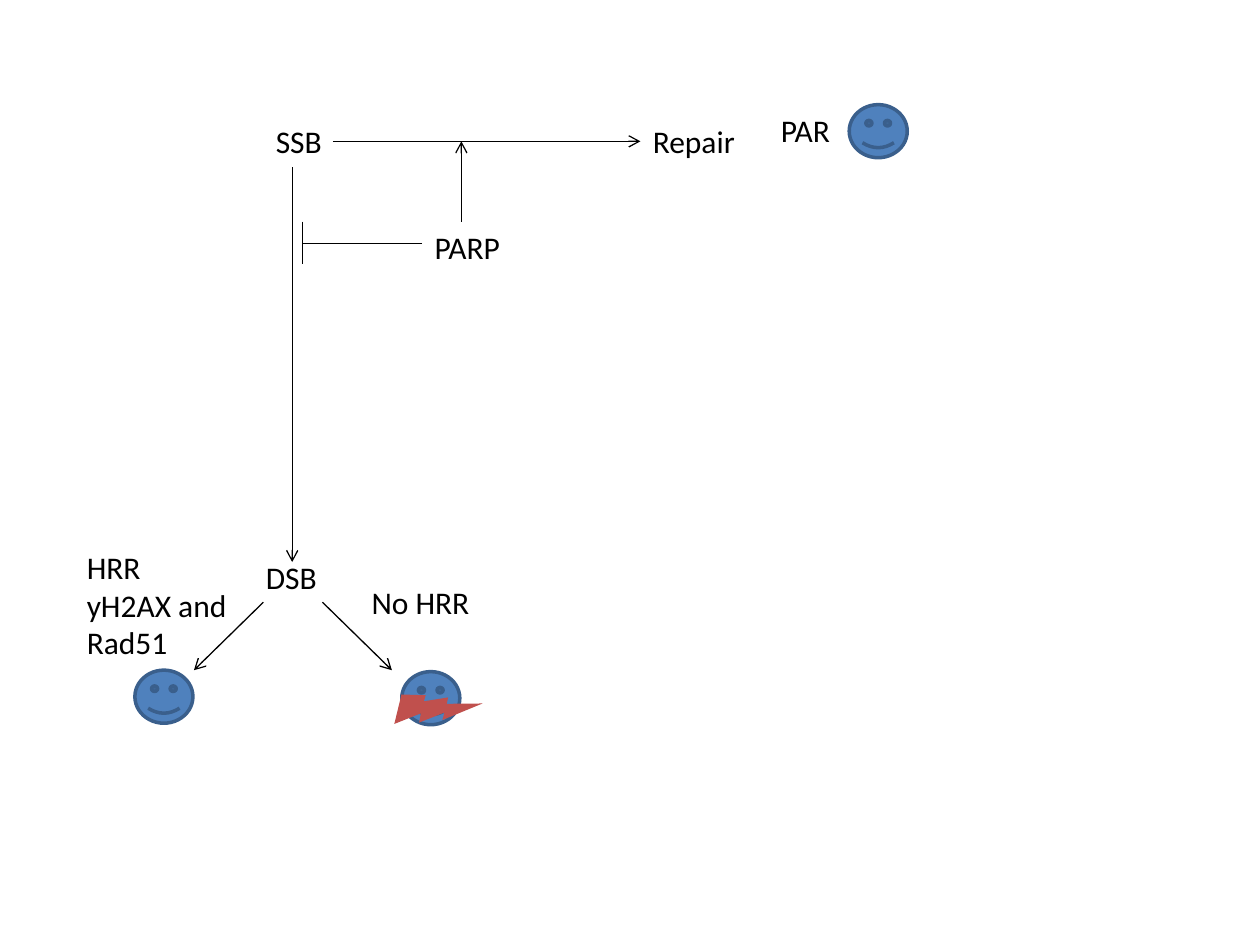
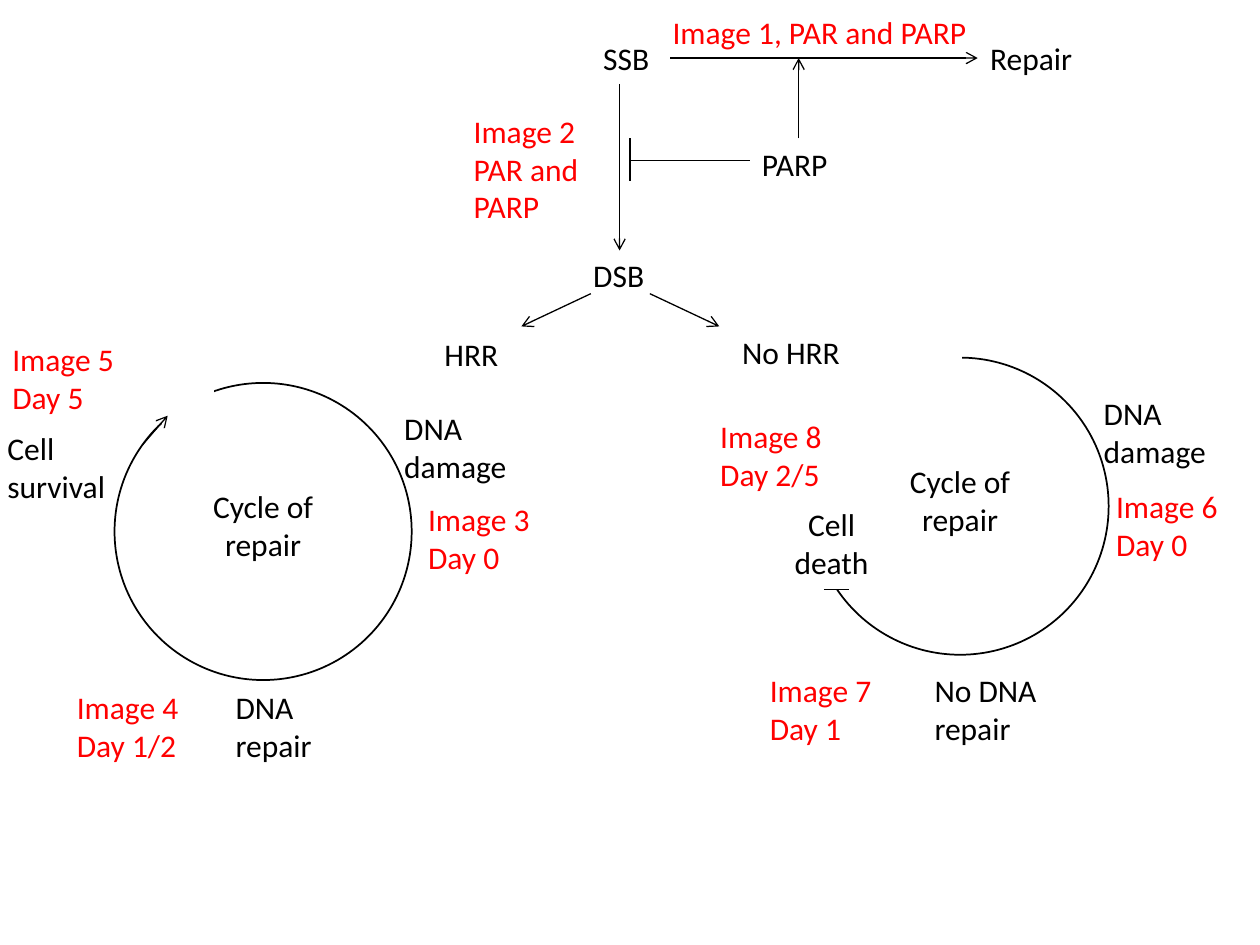
from dataclasses import dataclass

from lxml.etree import SubElement
from pptx import Presentation
from pptx.dml.color import RGBColor
from pptx.enum.shapes import MSO_CONNECTOR, MSO_SHAPE as Preset
from pptx.enum.text import MSO_AUTO_SIZE as AutoSize, PP_ALIGN as Align
from pptx.oxml.ns import qn
from pptx.shapes.autoshape import Shape
from pptx.slide import Slide
from pptx.util import Cm, Pt

BLACK = RGBColor(0x00, 0x00, 0x00)
WHITE = RGBColor(0xFF, 0xFF, 0xFF)
RED = RGBColor(0xFF, 0x00, 0x00)
CELL_BLUE = RGBColor(0x4F, 0x81, 0xBD)
CELL_EDGE = RGBColor(0x3A, 0x5F, 0x8C)
DAMAGE_RED = RGBColor(0xC0, 0x50, 0x4D)

FONT = "Calibri"
LABEL_WIDTH = 2.79
STAGE_WIDTH = 3.23
ONE_LINE, TWO_LINES, THREE_LINES = 1.02, 1.8, 2.57
RING_SIZE = 5.99
REPAIR_LENGTH = 6.2


# All positions and sizes below are in centimetres.
@dataclass(frozen=True)
class Label:
    """A piece of text and its place."""
    text: str
    x: float
    y: float
    width: float = LABEL_WIDTH
    height: float = ONE_LINE
    color: RGBColor = BLACK
    align: Align = Align.LEFT


@dataclass(frozen=True)
class Pathway:
    """Where the SSB to DSB pathway starts, and how far down its parts reach."""
    x: float
    y: float
    repair_x: float
    arrow_end: float
    dsb_y: float
    branch_y: float
    branch_drop: float


@dataclass(frozen=True)
class Cycle:
    """A repair ring and the box (x, y, width, height) that opens it."""
    x: float
    y: float
    gap: tuple[float, float, float, float]


def add_text(slide: Slide, text: str, x: float, y: float, *,
             width: float = LABEL_WIDTH, height: float = ONE_LINE,
             color: RGBColor = BLACK, align: Align = Align.LEFT,
             size: float = 18) -> None:
    """Write text, one paragraph per line."""
    box = slide.shapes.add_textbox(Cm(x), Cm(y), Cm(width), Cm(height))
    frame = box.text_frame
    frame.word_wrap = True
    frame.auto_size = AutoSize.SHAPE_TO_FIT_TEXT
    frame.text = text
    for paragraph in frame.paragraphs:
        paragraph.alignment = align
        font = paragraph.runs[0].font
        font.name, font.size = FONT, Pt(size)
        font.color.rgb = color


def add_labels(slide: Slide, labels: list[Label]) -> None:
    """Write every label of a list."""
    for label in labels:
        add_text(slide, label.text, label.x, label.y, width=label.width,
                 height=label.height, color=label.color, align=label.align)


def add_line(slide: Slide, start: tuple[float, float],
             end: tuple[float, float], arrow: bool = False) -> None:
    """Draw a thin black line, with an open arrowhead at its end if asked."""
    line = slide.shapes.add_connector(
        MSO_CONNECTOR.STRAIGHT, *(Cm(value) for value in (*start, *end)))
    line.line.color.rgb = BLACK
    line.line.width = Pt(0.75)
    if arrow:
        SubElement(line.line._get_or_add_ln(), qn("a:tailEnd"), type="arrow")
    SubElement(line._element.spPr, qn("a:effectLst"))


def add_preset(slide: Slide, preset: Preset, x: float, y: float,
               width: float, height: float, *, fill: RGBColor | None = None,
               edge: RGBColor | None = None, weight: float = 2) -> Shape:
    """Draw a preset shape without shadow."""
    shape = slide.shapes.add_shape(preset, Cm(x), Cm(y), Cm(width), Cm(height))
    shape.shadow.inherit = False
    if fill is None:
        shape.fill.background()
    else:
        shape.fill.solid()
        shape.fill.fore_color.rgb = fill
    if edge is None:
        shape.line.fill.background()
    else:
        shape.line.color.rgb = edge
        shape.line.width = Pt(weight)
    return shape


def add_cell(slide: Slide, x: float, y: float) -> None:
    """Draw a smiling cell."""
    add_preset(slide, Preset.SMILEY_FACE, x, y, 1.17, 1.07,
               fill=CELL_BLUE, edge=CELL_EDGE)


def add_pathway(slide: Slide, path: Pathway) -> None:
    """Draw SSB with its repair branch, the PARP block and the DSB fork."""
    x, y = path.x, path.y
    repair_y, parp_y, block_y = y + 0.51, y + 2.13, y + 2.57
    parp_x, bar_x, break_x = x + 3.2, x + 0.79, x + 0.58
    repair_end = path.repair_x + REPAIR_LENGTH
    boost_x = path.repair_x + 2.59
    add_labels(slide, [
        Label("SSB", x, y),
        Label("Repair", repair_end, y),
        Label("PARP", parp_x, parp_y, height=0.84),
        Label("DSB", x - 0.2, path.dsb_y),
    ])
    add_line(slide, (path.repair_x, repair_y), (repair_end, repair_y), arrow=True)
    add_line(slide, (boost_x, parp_y), (boost_x, repair_y), arrow=True)
    add_line(slide, (break_x, y + 1.03), (break_x, path.arrow_end), arrow=True)
    add_line(slide, (parp_x, block_y), (bar_x, block_y))
    add_line(slide, (bar_x, parp_y), (bar_x, y + 2.99))
    for fork_x, reach in ((x + 1.19, 1.4), (x, -1.4)):
        add_line(slide, (fork_x, path.branch_y),
                 (fork_x + reach, path.branch_y + path.branch_drop), arrow=True)


def add_cycle(slide: Slide, cycle: Cycle) -> None:
    """Draw an open ring with its title in the middle."""
    add_preset(slide, Preset.OVAL, cycle.x, cycle.y, RING_SIZE, RING_SIZE,
               edge=BLACK, weight=1)
    add_preset(slide, Preset.RECTANGLE, *cycle.gap, fill=WHITE, edge=WHITE)
    add_text(slide, "Cycle of repair", cycle.x + 1.6, cycle.y + 1.98,
             height=TWO_LINES, align=Align.CENTER)


def stage(text: str, x: float, y: float, width: float = STAGE_WIDTH,
          height: float = TWO_LINES) -> Label:
    """Make a red label that names an image and its day or stain."""
    return Label(text, x, y, width, height, RED)


def build_overview(slide: Slide) -> None:
    """Show the pathway and the fate of the cells."""
    add_pathway(slide, Pathway(5.31, 2.34, repair_x=6.71, arrow_end=11.33,
                               dsb_y=11.13, branch_y=12.14, branch_drop=1.37))
    for x, y in ((17.12, 2.11), (2.72, 13.51), (8.1, 13.54)):
        add_cell(slide, x, y)
    damage = add_preset(slide, Preset.LIGHTNING_BOLT, 8.03, 13.61, 1.42, 1.4,
                        fill=DAMAGE_RED)
    damage.rotation = 308
    add_labels(slide, [
        Label("PAR", 15.49, 2.11),
        Label("No HRR", 7.24, 11.63),
        Label("HRR\nyH2AX and Rad51", 1.5, 10.92, 4.5, THREE_LINES),
    ])


def build_cycles(slide: Slide) -> None:
    """Show the pathway with the two repair cycles and the images to take."""
    add_pathway(slide, Pathway(11.91, 0.66, repair_x=13.51, arrow_end=5.05,
                               dsb_y=5.03, branch_y=5.92, branch_drop=0.66))
    add_cycle(slide, Cycle(2.31, 7.72, gap=(3.3, 7.85, 0.99, 1.07)))
    add_line(slide, (2.87, 8.97), (3.38, 8.38), arrow=True)
    add_cycle(slide, Cycle(16.36, 7.21, gap=(15.9, 7.09, 3.45, 4.78)))
    add_line(slide, (16.61, 11.89), (17.12, 11.89))
    add_labels(slide, [
        Label("HRR", 8.71, 6.63),
        Label("DNA damage", 7.9, 8.13, height=TWO_LINES),
        Label("DNA repair", 4.5, 13.74, height=TWO_LINES),
        Label("Cell survival", -0.1, 8.53, height=TWO_LINES),
        Label("No HRR", 14.71, 6.58),
        Label("DNA damage", 22, 7.82, height=TWO_LINES),
        Label("No DNA repair", 18.59, 13.41, height=TWO_LINES),
        Label("Cell death", 15.37, 10.06, height=TWO_LINES, align=Align.CENTER),
        stage("Image 1, PAR and PARP", 13.31, 0.13, 6.68, ONE_LINE),
        stage("Image 2\nPAR and PARP", 9.3, 2.13, height=THREE_LINES),
        stage("Image 3\nDay 0", 8.38, 9.96),
        stage("Image 4\nDay 1/2", 1.3, 13.74),
        stage("Image 5\nDay 5", 0, 6.73),
        stage("Image 6\nDay 0", 22.25, 9.7),
        stage("Image 7\nDay 1", 15.27, 13.41),
        stage("Image 8\nDay 2/5", 14.27, 8.28),
    ])


def main() -> None:
    """Build both slides and save them."""
    deck = Presentation()
    deck.slide_width, deck.slide_height = Cm(25.4), Cm(19.05)
    blank = deck.slide_layouts[6]
    for build in (build_overview, build_cycles):
        build(deck.slides.add_slide(blank))
    deck.save("out.pptx")


main()
